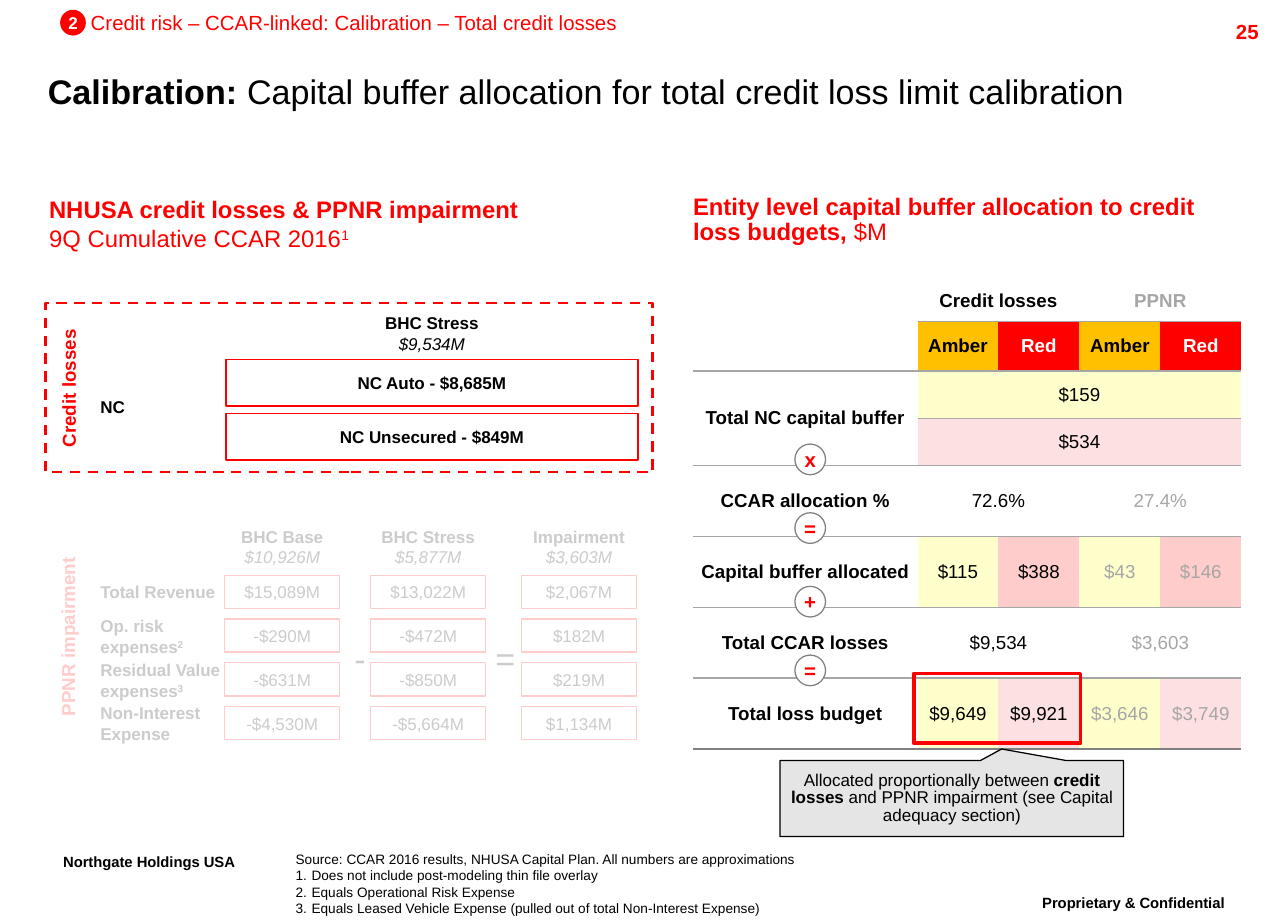
from lxml import etree
from pptx import Presentation, util as u
from pptx.dml.color import RGBColor
from pptx.enum import dml, shapes, text
from pptx.oxml import ns

RED, BLACK, WHITE, GREY = "FF0000", "000000", "FFFFFF", "A6A6A6"
AMBER, YELLOW, PINK, ROSE = "FFC000", "FFFFCC", "FCE0E2", "FFCCCC"
LEFT, CENTER, RIGHT = text.PP_ALIGN.LEFT, text.PP_ALIGN.CENTER, text.PP_ALIGN.RIGHT
TOP, MIDDLE, BOTTOM = text.MSO_ANCHOR.TOP, text.MSO_ANCHOR.MIDDLE, text.MSO_ANCHOR.BOTTOM
RECTANGLE, OVAL = shapes.MSO_SHAPE.RECTANGLE, shapes.MSO_SHAPE.OVAL
CALLOUT = shapes.MSO_SHAPE.RECTANGULAR_CALLOUT


def paint(fill, color):
    if color is None:
        fill.background()
    else:
        fill.solid()
        fill.fore_color.rgb = RGBColor.from_string(color)


def write(frame, paragraphs, align=CENTER, anchor=TOP, inset=None, spacing=None, wrap=True, **font):
    layout = {"word_wrap": wrap, "vertical_anchor": anchor, "auto_size": text.MSO_AUTO_SIZE.NONE}
    if inset is not None:
        for side in ("left", "right", "top", "bottom"):
            layout["margin_" + side] = u.Inches(inset)
    for name, value in layout.items():
        setattr(frame, name, value)
    for index, runs in enumerate(paragraphs):
        paragraph = frame.add_paragraph() if index else frame.paragraphs[0]
        for name, value in {"alignment": align, "space_before": u.Pt(0), "line_spacing": spacing}.items():
            setattr(paragraph, name, value)
        for words, changes in runs:
            run = paragraph.add_run()
            run.text = words
            values = {"name": "Arial", "size": 10, "bold": False, "color": BLACK, **font, **changes}
            paint(run.font.fill, values.pop("color"))
            if values.pop("raised", False):
                run._r.get_or_add_rPr().set("baseline", "30000")
            values["size"] = u.Pt(values["size"])
            for name, value in values.items():
                setattr(run.font, name, value)


presentation = Presentation()
presentation.slide_width, presentation.slide_height = u.Inches(10.5), u.Inches(7.5)
unit = presentation.slide_width // 105
slide = presentation.slides.add_slide(presentation.slide_layouts[1])

bold, plain, raised = {"bold": True}, {"bold": False}, {"raised": True}
italic = {"bold": False, "italic": True}

title, notes = slide.placeholders
for shape, box in ((title, (3.9, 5, 94.8, 4.8)), (notes, (24.1, 69.3, 60.6, 5.4))):
    for name, value in zip(("left", "top", "width", "height"), box):
        setattr(shape, name, round(value * unit))
write(title.text_frame, [[("Calibration: ", bold),
      ("Capital buffer allocation for total credit loss limit calibration", {})]],
      align=LEFT, anchor=MIDDLE, inset=0, size=20)
sources = ["Source: CCAR 2016 results, NHUSA Capital Plan. All numbers are approximations",
           "Does not include post-modeling thin file overlay",
           "Equals Operational Risk Expense",
           "Equals Leased Vehicle Expense (pulled out of total Non-Interest Expense)"]
write(notes.text_frame, [[(line, {})] for line in sources], align=LEFT, anchor=BOTTOM, inset=0, size=8)
for index, paragraph in enumerate(notes.text_frame.paragraphs):
    properties = paragraph._p.get_or_add_pPr()
    indent = round(1.3 * unit) if index else 0
    properties.set("marL", str(indent))
    properties.set("indent", str(-indent))
    bullet = etree.SubElement(properties, ns.qn("a:buAutoNum" if index else "a:buNone"))
    if index:
        bullet.set("type", "arabicPeriod")

budget = [
    (["", "Credit losses", "", "PPNR", ""], [WHITE] * 4),
    (["", "Amber", "Red", "Amber", "Red"], [AMBER, RED] * 2),
    (["Total NC capital buffer", "$159", "", "", ""], [YELLOW] * 4),
    (["", "$534", "", "", ""], [PINK] * 4),
    (["CCAR allocation %", "72.6%", "", "27.4%", ""], [WHITE] * 4),
    (["Capital buffer allocated", "$115", "$388", "$43", "$146"], [YELLOW, ROSE] * 2),
    (["Total CCAR losses", "$9,534", "", "$3,603", ""], [WHITE] * 4),
    (["Total loss budget", "$9,649", "$9,921", "$3,646", "$3,749"], [YELLOW, PINK] * 2),
]
heights = [3.4, 3.6, 3.85, 3.85] + [5.78] * 4
widths = [18.3] + [6.6] * 4
frame = slide.shapes.add_table(8, 5, *(round(value * unit) for value in (56.5, 22.8, sum(widths), sum(heights))))
frame._element.find(".//" + ns.qn("a:tableStyleId")).text = "{2D5ABB26-0587-4C30-8999-92F81FD0307C}"
table = frame.table
table.first_row = table.horz_banding = False
for column, width in zip(table.columns, widths):
    column.width = round(width * unit)
for row, height in zip(table.rows, heights):
    row.height = round(height * unit)
pairs = [(row, column, row, column + 1) for row in (0, 4, 6) for column in (1, 3)]
for top, left, bottom, right in [(0, 0, 1, 0), (2, 0, 3, 0), (2, 1, 2, 4), (3, 1, 3, 4)] + pairs:
    table.cell(top, left).merge(table.cell(bottom, right))
for row, (labels, fills) in enumerate(budget):
    for column, (label, fill) in enumerate(zip(labels, [WHITE] + fills)):
        cell = table.cell(row, column)
        paint(cell.fill, fill)
        cell.vertical_anchor = MIDDLE
        for side in ("left", "right", "top", "bottom"):
            setattr(cell, "margin_" + side, u.Inches(0.05))
        color = WHITE if fill == RED else GREY if column > 2 and row != 1 else BLACK
        if label:
            paragraph = cell.text_frame.paragraphs[0]
            paragraph.alignment = CENTER
            run = paragraph.add_run()
            run.text = label
            paint(run.font.fill, color)
            for name, value in {"name": "Arial", "size": u.Pt(11), "bold": row < 2 or column == 0}.items():
                setattr(run.font, name, value)
        border = etree.Element(ns.qn("a:lnB"), w="12700")
        solid = etree.SubElement(border, ns.qn("a:solidFill"))
        etree.SubElement(solid, ns.qn("a:srgbClr"), val="808080" if row == 7 else GREY)
        cell._tc.get_or_add_tcPr().insert(0, border)

label = {"align": LEFT, "bold": True}
heading = {"align": LEFT, "inset": 0, "size": 14, "color": RED, "bold": True}
sidebar = {"inset": 0, "size": 11, "color": RED, "bold": True}
corner = {"spacing": 0.86, "size": 15, "bold": True, "raised": True}
centered = {"anchor": MIDDLE, "inset": 0.04}

items = [
    (None, (81.5, 72.5, 21.8, 3.5), None, None, 0, [[("Proprietary & Confidential", {})]], corner),
    (None, (2.6, 69.1, 19.1, 3.5), None, None, 0, [[("Northgate Holdings USA", {})]], corner),
    (None, (93.6, 1.1, 10, 2.4), None, None, 0, [[("25", {})]],
     {"align": RIGHT, "size": 12, "color": RED, "bold": True}),
    (None, (7.4, 0.8, 46, 2), None, None, 0,
     [[("Credit risk – CCAR-linked: Calibration – Total credit losses", {})]],
     {"align": LEFT, "inset": 0, "size": 12, "color": RED}),
    (OVAL, (4.9, 0.8, 2.1, 2.1), RED, None, 0, [[("2", {})]],
     {"anchor": MIDDLE, "inset": 0, "wrap": False, "color": WHITE, "bold": True}),
    (None, (4, 15.9, 58, 4.8), None, None, 0,
     [[("NHUSA credit losses & PPNR impairment", {})], [("9Q Cumulative CCAR 2016", plain), ("1", {**plain, **raised})]],
     heading),
    (None, (56.5, 16, 44.7, 4.1), None, None, 0,
     [[("Entity level capital buffer allocation to credit loss budgets, ", {}), ("$M", plain)]],
     {**heading, "spacing": 0.86}),
    (RECTANGLE, (3.7, 24.7, 49.5, 13.8), None, RED, 1.5, [], {}),
    (None, (-3.4, 30.8, 17.8, 1.7), None, None, 0, [[("Credit losses", {})]], sidebar),
    (None, (-3.2, 50.6, 18.2, 2.6), None, None, 0, [[("PPNR impairment", {})]], sidebar),
    (None, (7.2, 31.8, 12, 2.7), None, None, 0, [[("NC", {})]], label),
    (None, (29.5, 25, 11.4, 4.4), None, None, 0, [[("BHC Stress", bold)], [("$9,534M", italic)]], {}),
    (None, (27.9, 51.5, 2.1, 5.1), None, None, 0, [[("-", {})]], {"size": 20}),
    (None, (39.4, 51.5, 3.4, 5.1), None, None, 0, [[("=", {})]], {"size": 20}),
]
for top, words in ((29.3, "NC Auto - $8,685M"), (33.7, "NC Unsecured - $849M")):
    items.append((RECTANGLE, (18.4, top, 33.6, 3.8), None, RED, 1, [[(words, bold)]], centered))

columns = [
    (18.3, "BHC Base", "$10,926M", ["$15,089M", "-$290M", "-$631M", "-$4,530M"]),
    (30.2, "BHC Stress", "$5,877M", ["$13,022M", "-$472M", "-$850M", "-$5,664M"]),
    (42.5, "Impairment", "$3,603M", ["$2,067M", "$182M", "$219M", "$1,134M"]),
]
for left, name, total, values in columns:
    items.append((None, (left - 1, 42.4, 11.4, 4.4), None, None, 0, [[(name, bold)], [(total, italic)]], {}))
    for index, value in enumerate(values):
        items.append((RECTANGLE, (left, 46.9 + 3.57 * index, 9.4, 2.7), WHITE, RED, 0.75, [[(value, {})]], centered))
expenses = [("Total Revenue", "", 46.9), ("Op. risk expenses", "2", 49.7),
            ("Residual Value expenses", "3", 53.3), ("Non-Interest Expense", "", 56.8)]
for words, mark, top in expenses:
    runs = [(words, {})] + ([(mark, raised)] if mark else [])
    items.append((None, (7.2, top, 12, 4.4), None, None, 0, [runs], label))

items += [
    (RECTANGLE, (3.7, 40.4, 49.3, 22.7), WHITE, None, 0, [], {}),
    (CALLOUT, (63.6, 62, 28, 6.2), "E5E5E5", BLACK, 0.75,
     [[("Allocated proportionally between ", {}), ("credit losses ", bold),
       ("and PPNR impairment (see Capital adequacy section)", {})]],
     {"anchor": MIDDLE, "inset": 0.08, "spacing": 0.86}),
    (RECTANGLE, (74.5, 54.9, 13.6, 5.7), None, RED, 2.25, [], {}),
]
for top, sign in ((36.2, "x"), (41.8, "="), (47.8, "+"), (53.4, "=")):
    items.append((OVAL, (64.8, top, 2.5, 2.5), WHITE, "808080", 0.75, [[(sign, {})]],
                  {"anchor": MIDDLE, "inset": 0, "wrap": False, "size": 12, "color": RED, "bold": True}))

for kind, box, fill, line, weight, paragraphs, style in items:
    place = [round(value * unit) for value in box]
    if kind is None:
        shape = slide.shapes.add_textbox(*place)
    else:
        shape = slide.shapes.add_shape(kind, *place)
        shape.shadow.inherit = False
        paint(shape.fill, fill)
        paint(shape.line.fill, line)
        if line:
            shape.line.width = u.Pt(weight)
    if paragraphs:
        write(shape.text_frame, paragraphs, **style)
    if style is sidebar:
        shape.rotation = 270
    if weight == 1.5:
        shape.line.dash_style = dml.MSO_LINE.DASH
    if kind == CALLOUT:
        shape.adjustments[0], shape.adjustments[1] = 0.145, -0.652
    if kind == RECTANGLE and fill == WHITE and line is None:
        tint = shape._element.spPr.find(".//" + ns.qn("a:srgbClr"))
        etree.SubElement(tint, ns.qn("a:alpha"), val="80000")

presentation.save("out.pptx")
